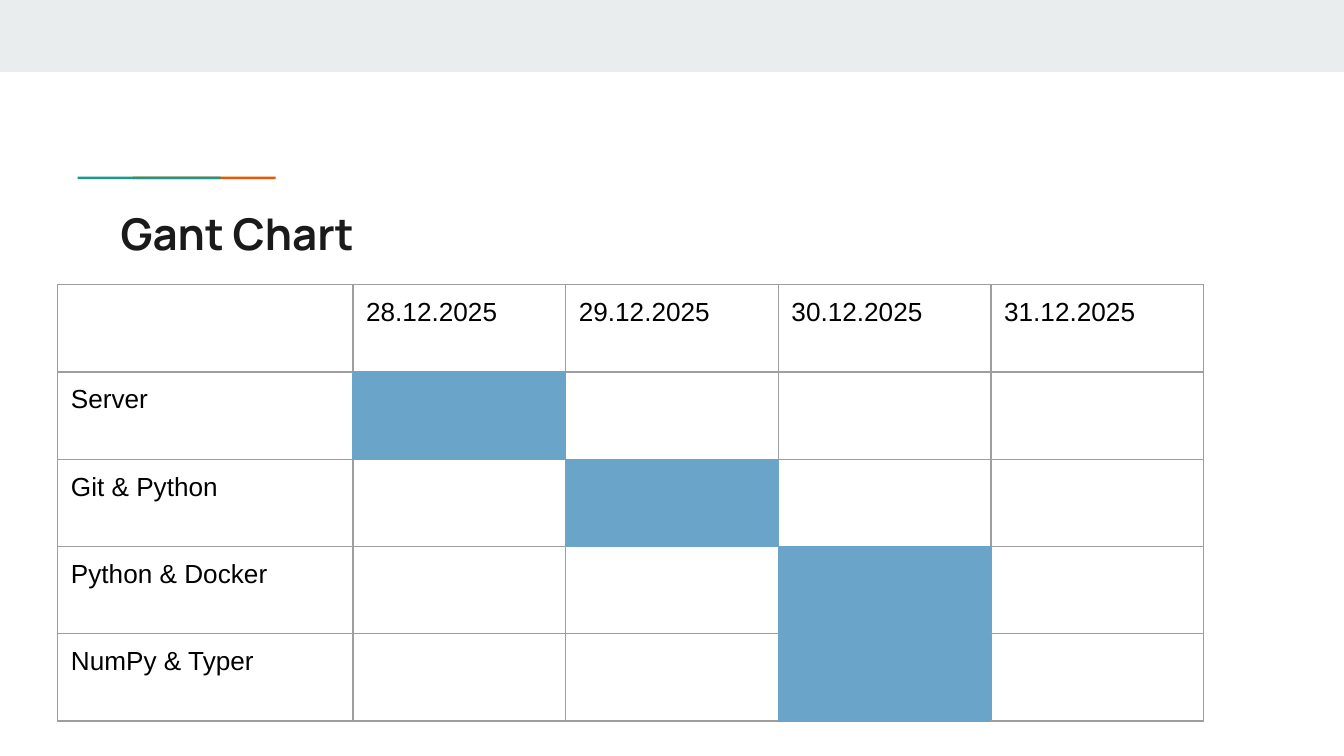
from dataclasses import dataclass

from lxml import etree
from pptx import Presentation
from pptx.dml.color import RGBColor
from pptx.enum.shapes import MSO_SHAPE
from pptx.enum.text import MSO_ANCHOR
from pptx.oxml.ns import qn
from pptx.util import Cm, Pt

RECTANGLE = MSO_SHAPE.RECTANGLE
TOP = MSO_ANCHOR.TOP

BAND_GREY, GREEN, ORANGE = "E9EDEE", "1A9988", "EB5600"
TITLE_INK, BLACK = "1A1A1A", "000000"
GRID_GREY, TASK_BLUE = "9E9E9E", "6AA4C8"
BORDER_WIDTH = Pt(0.75)
MARGIN = Cm(0.25)

DATES = ["28.12.2025", "29.12.2025", "30.12.2025", "31.12.2025"]
LABEL_WIDTH, DATE_WIDTH, ROW_HEIGHT = 5.58, 4.02, 1.65


@dataclass
class Bar:
    left: float
    top: float
    width: float
    height: float
    color: str


@dataclass
class Task:
    name: str
    day: int


# The green accent overlaps the left part of the orange one
BARS = [
    Bar(0, 0, 25.4, 1.36, BAND_GREY),
    Bar(2.51, 3.34, 2.7, 0.05, ORANGE),
    Bar(1.47, 3.34, 2.7, 0.05, GREEN),
]
TASKS = [
    Task("Server", 1),
    Task("Git & Python", 2),
    Task("Python & Docker", 3),
    Task("NumPy & Typer", 3),
]


def rgb(color: str) -> RGBColor:
    return RGBColor.from_string(color)


def set_text(target, text: str, font_name: str, size: float, color: str, bold: bool = False) -> None:
    """Write one styled line into a text box or a table cell."""
    target.text_frame.text = text
    for run in target.text_frame.paragraphs[0].runs:
        run.font.name = font_name
        run.font.size = Pt(size)
        run.font.bold = bold
        run.font.color.rgb = rgb(color)


def set_margins(target) -> None:
    target.margin_left = target.margin_right = MARGIN
    target.margin_top = target.margin_bottom = MARGIN


def add_bar(slide, bar: Bar) -> None:
    shape = slide.shapes.add_shape(
        RECTANGLE, Cm(bar.left), Cm(bar.top), Cm(bar.width), Cm(bar.height))
    shape.shadow.inherit = False
    shape.fill.solid()
    shape.fill.fore_color.rgb = rgb(bar.color)
    shape.line.fill.background()


def add_title(slide, text: str) -> None:
    box = slide.shapes.add_textbox(Cm(2.03), Cm(3.66), Cm(21.36), Cm(1.5))
    box.text_frame.word_wrap = True
    box.text_frame.vertical_anchor = TOP
    set_margins(box.text_frame)
    set_text(box, text, "Manrope", 23.4, TITLE_INK, bold=True)


def add_border(cell, side: str, color: str) -> None:
    properties = cell._tc.get_or_add_tcPr()
    line = etree.SubElement(properties, qn(f"a:ln{side}"), w=str(BORDER_WIDTH))
    fill = etree.SubElement(line, qn("a:solidFill"))
    etree.SubElement(fill, qn("a:srgbClr"), val=color)


def add_gantt_table(slide, tasks: list[Task]) -> None:
    row_count, column_count = len(tasks) + 1, len(DATES) + 1
    table = slide.shapes.add_table(
        row_count, column_count, Cm(1.09), Cm(5.38),
        Cm(LABEL_WIDTH + DATE_WIDTH * len(DATES)), Cm(ROW_HEIGHT * row_count)).table
    table.first_row = table.horz_banding = False
    for index, column in enumerate(table.columns):
        column.width = Cm(DATE_WIDTH if index else LABEL_WIDTH)
    for row in table.rows:
        row.height = Cm(ROW_HEIGHT)

    busy = {(row, task.day) for row, task in enumerate(tasks, start=1)}
    texts = {(0, column): date for column, date in enumerate(DATES, start=1)}
    texts.update({(row, 0): task.name for row, task in enumerate(tasks, start=1)})

    for row in range(row_count):
        for column in range(column_count):
            cell = table.cell(row, column)
            set_margins(cell)
            set_text(cell, texts.get((row, column), ""), "Arial", 14, BLACK)
            # A border is blue when either cell beside it is busy
            neighbours = {"L": (row, column - 1), "R": (row, column + 1),
                          "T": (row - 1, column), "B": (row + 1, column)}
            for side, neighbour in neighbours.items():
                touches_task = (row, column) in busy or neighbour in busy
                add_border(cell, side, TASK_BLUE if touches_task else GRID_GREY)
            if (row, column) in busy:
                cell.fill.solid()
                cell.fill.fore_color.rgb = rgb(TASK_BLUE)
            else:
                cell.fill.background()


def main() -> None:
    presentation = Presentation()
    presentation.slide_width, presentation.slide_height = Cm(25.4), Cm(14.29)
    slide = presentation.slides.add_slide(presentation.slide_layouts[6])

    # Header band and accent line
    for bar in BARS:
        add_bar(slide, bar)

    # Title and schedule
    add_title(slide, "Gant Chart")
    add_gantt_table(slide, TASKS)

    presentation.save("out.pptx")


if __name__ == "__main__":
    main()
